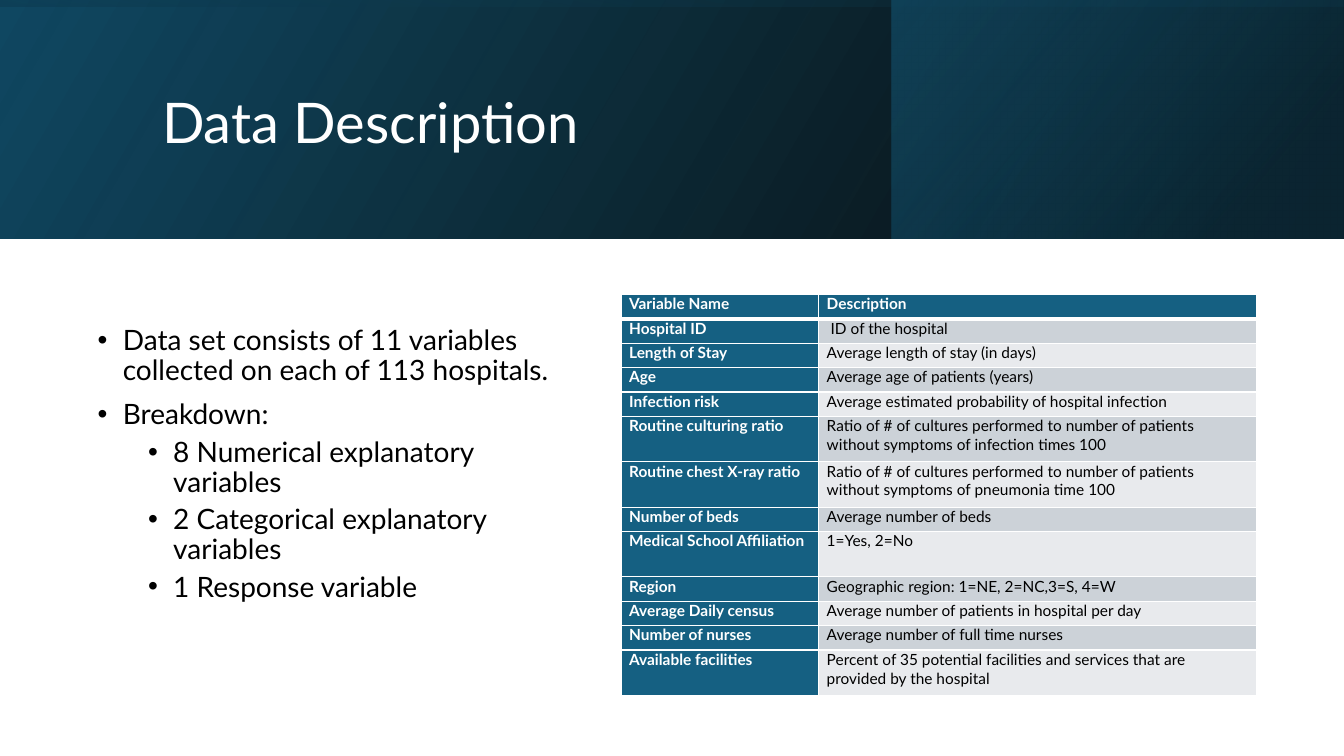
from dataclasses import dataclass

from lxml.etree import SubElement
from pptx import Presentation
from pptx.dml.color import RGBColor
from pptx.enum.shapes import MSO_SHAPE
from pptx.enum.text import MSO_ANCHOR
from pptx.oxml import parse_xml
from pptx.oxml.ns import nsdecls, qn
from pptx.slide import Slide
from pptx.table import _Cell
from pptx.text.text import TextFrame, _Paragraph
from pptx.util import Inches, Pt

FONT = "Lato"
COLORS = {
    "white": "FFFFFF",
    "black": "000000",
    "teal": "156082",
    "deep_teal": "104862",
    "night": "0B3041",
    "odd_row": "CCD2D8",
    "even_row": "E8EAED",
}


@dataclass(frozen=True)
class Box:
    left: float
    top: float
    width: float
    height: float

    def lengths(self) -> tuple[int, ...]:
        return tuple(Inches(n) for n in (self.left, self.top, self.width, self.height))


@dataclass(frozen=True)
class GradientStop:
    position: int
    color: str
    opacity: int = 100


@dataclass(frozen=True)
class BannerLayer:
    box: Box
    stops: tuple[GradientStop, GradientStop]
    angle: int
    rotation: int = 0


@dataclass(frozen=True)
class Bullet:
    text: str
    level: int = 0


@dataclass(frozen=True)
class Variable:
    name: str
    description: str
    tall: bool = False


BANNER_LAYERS = (
    BannerLayer(Box(0, 0, 13.33, 2.37),
                (GradientStop(0, "black", 96), GradientStop(100, "deep_teal")), 330),
    BannerLayer(Box(8.84, 0, 4.48, 2.37),
                (GradientStop(19, "night", 68), GradientStop(100, "teal", 48)), 320),
    BannerLayer(Box(5.48, -5.48, 2.37, 13.33),
                (GradientStop(23, "deep_teal", 16), GradientStop(99, "black", 45)), 350, 270),
)
TITLE_BOX = Box(1.51, 0.38, 10.63, 1.72)
BULLETS_BOX = Box(0.87, 2.84, 4.96, 3.54)
BULLETS = (
    Bullet("Data set consists of 11 variables collected on each of 113 hospitals."),
    Bullet("Breakdown:"),
    Bullet("8 Numerical explanatory variables", 1),
    Bullet("2 Categorical explanatory variables", 1),
    Bullet("1 Response variable", 1),
)
TABLE_BOX = Box(6.16, 2.92, 6.3, 3.98)
COLUMN_WIDTHS = (1.96, 4.34)
TALL_ROW = 0.45
VARIABLES = (
    Variable("Variable Name", "Description"),
    Variable("Hospital ID", " ID of the hospital"),
    Variable("Length of Stay", "Average length of stay (in days)"),
    Variable("Age", "Average age of patients (years)"),
    Variable("Infection risk", "Average estimated probability of hospital infection"),
    Variable("Routine culturing ratio", "Ratio of # of cultures performed to number of "
             "patients without symptoms of infection times 100", True),
    Variable("Routine chest X-ray ratio", "Ratio of # of cultures performed to number of "
             "patients without symptoms of pneumonia time 100", True),
    Variable("Number of beds", "Average number of beds"),
    Variable("Medical School Affiliation", "1=Yes, 2=No", True),
    Variable("Region", "Geographic region: 1=NE, 2=NC,3=S, 4=W"),
    Variable("Average Daily census", "Average number of patients in hospital per day"),
    Variable("Number of nurses", "Average number of full time nurses"),
    Variable("Available facilities", "Percent of 35 potential facilities and services "
             "that are provided by the hospital", True),
)


def set_font(paragraph: _Paragraph, size: float, color: str, bold: bool = False) -> None:
    paragraph.font.name = FONT
    paragraph.font.size = Pt(size)
    paragraph.font.bold = bold
    paragraph.font.color.rgb = RGBColor.from_string(COLORS[color])


def add_banner_layer(slide: Slide, layer: BannerLayer) -> None:
    """Add a mirrored rectangle with a translucent gradient."""
    shape = slide.shapes.add_shape(MSO_SHAPE.RECTANGLE, *layer.box.lengths())
    shape.shadow.inherit = False
    shape.rotation = layer.rotation
    shape.line.fill.background()
    properties = shape._element.spPr
    properties.find(qn("a:xfrm")).set("flipH", "1")
    stops = "".join(
        f'<a:gs pos="{stop.position * 1000}"><a:srgbClr val="{COLORS[stop.color]}">'
        f'<a:alpha val="{stop.opacity * 1000}"/></a:srgbClr></a:gs>'
        for stop in layer.stops
    )
    gradient = parse_xml(
        f'<a:gradFill {nsdecls("a")} rotWithShape="1"><a:gsLst>{stops}</a:gsLst>'
        f'<a:lin ang="{layer.angle * 60000}" scaled="0"/></a:gradFill>'
    )
    properties.find(qn("a:prstGeom")).addnext(gradient)


def add_text_frame(slide: Slide, box: Box) -> TextFrame:
    frame = slide.shapes.add_textbox(*box.lengths()).text_frame
    frame.word_wrap = True
    frame.vertical_anchor = MSO_ANCHOR.MIDDLE
    return frame


def add_title(slide: Slide, text: str) -> None:
    paragraph = add_text_frame(slide, TITLE_BOX).paragraphs[0]
    paragraph.text = text
    paragraph.line_spacing = 0.9
    set_font(paragraph, 40, "white")


def add_bullets(slide: Slide) -> None:
    frame = add_text_frame(slide, BULLETS_BOX)
    for index, bullet in enumerate(BULLETS):
        paragraph = frame.add_paragraph() if index else frame.paragraphs[0]
        paragraph.text = bullet.text
        paragraph.level = bullet.level
        paragraph.line_spacing = 0.9
        paragraph.space_before = Pt(5 if bullet.level else 10)
        set_font(paragraph, 20, "black")
        properties = paragraph._p.get_or_add_pPr()
        properties.set("marL", str(Inches(0.25 + 0.5 * bullet.level)))
        properties.set("indent", str(Inches(-0.25)))
        marker_font = parse_xml(f'<a:buFont {nsdecls("a")} typeface="Arial"/>')
        marker = parse_xml(f'<a:buChar {nsdecls("a")} char="•"/>')
        properties.find(qn("a:defRPr")).addprevious(marker_font)
        marker_font.addnext(marker)


def set_borders(cell: _Cell, row: int) -> None:
    """Draw white borders, thick between the header and the first row."""
    properties = cell._tc.get_or_add_tcPr()
    widths = {"lnL": 1, "lnR": 1, "lnT": 3 if row == 1 else 1, "lnB": 3 if row == 0 else 1}
    for position, (side, width) in enumerate(widths.items()):
        line = SubElement(properties, qn(f"a:{side}"), w=str(Pt(width)))
        fill = SubElement(line, qn("a:solidFill"))
        SubElement(fill, qn("a:srgbClr"), val=COLORS["white"])
        properties.insert(position, line)


def add_variable_table(slide: Slide) -> None:
    shape = slide.shapes.add_table(len(VARIABLES), len(COLUMN_WIDTHS), *TABLE_BOX.lengths())
    table = shape.table
    for column, width in zip(table.columns, COLUMN_WIDTHS):
        column.width = Inches(width)
    tall_count = sum(variable.tall for variable in VARIABLES)
    short_row = (TABLE_BOX.height - tall_count * TALL_ROW) / (len(VARIABLES) - tall_count)
    for row, variable in enumerate(VARIABLES):
        table.rows[row].height = Inches(TALL_ROW if variable.tall else short_row)
        for column, text in enumerate((variable.name, variable.description)):
            cell = table.cell(row, column)
            heading = row == 0 or column == 0
            band = "odd_row" if row % 2 else "even_row"
            cell.fill.solid()
            cell.fill.fore_color.rgb = RGBColor.from_string(COLORS["teal" if heading else band])
            cell.margin_left = cell.margin_right = Inches(0.08)
            cell.margin_top = cell.margin_bottom = 0
            cell.text = text
            set_font(cell.text_frame.paragraphs[0], 11, "white" if heading else "black", heading)
            set_borders(cell, row)


def main() -> None:
    presentation = Presentation()
    presentation.slide_width = Inches(13.33)
    presentation.slide_height = Inches(7.5)
    slide = presentation.slides.add_slide(presentation.slide_layouts[6])
    for layer in BANNER_LAYERS:
        add_banner_layer(slide, layer)
    add_title(slide, "Data Description")
    add_bullets(slide)
    add_variable_table(slide)
    presentation.save("out.pptx")


if __name__ == "__main__":
    main()
